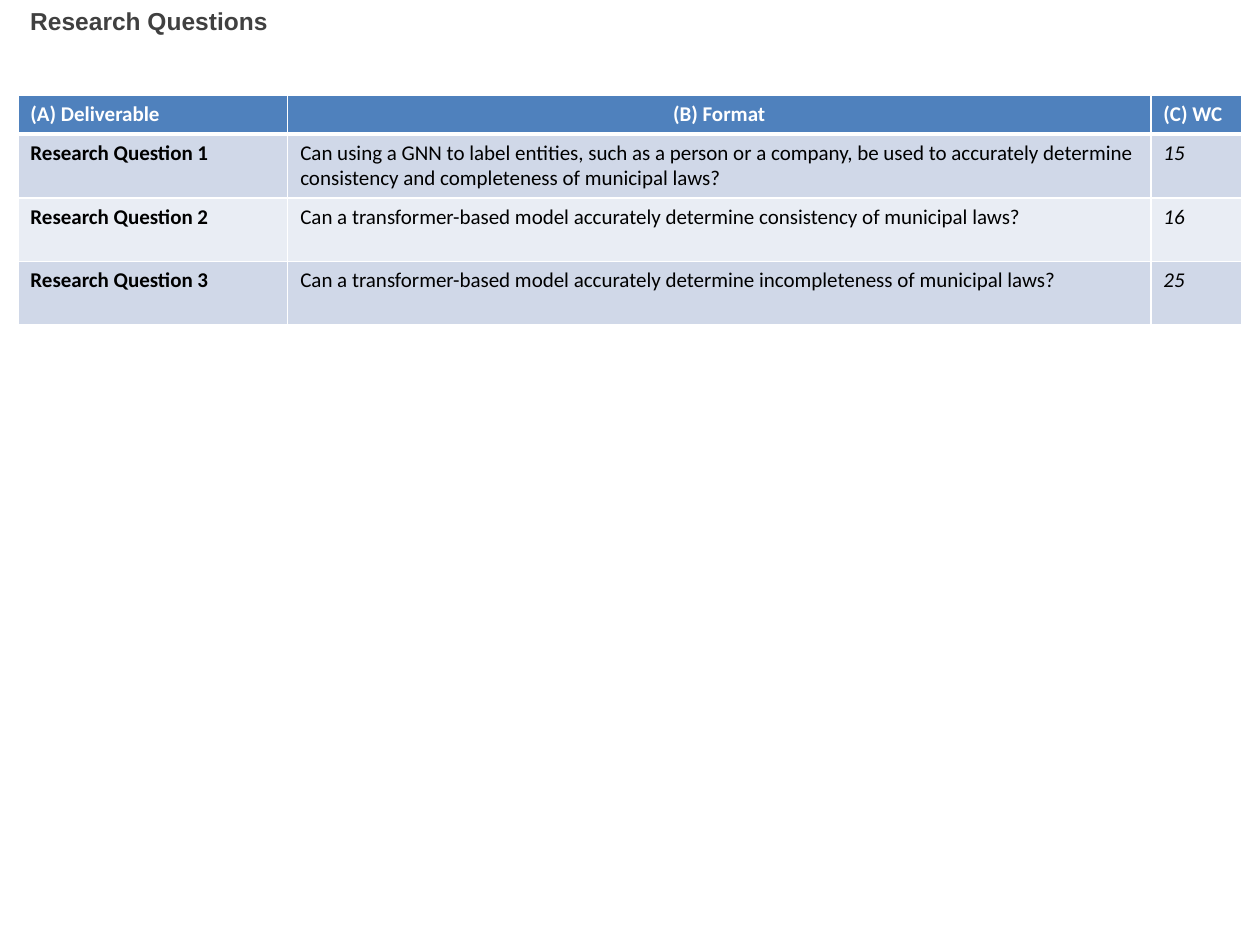
from dataclasses import dataclass

from lxml import etree
from pptx import Presentation
from pptx.dml.color import RGBColor
from pptx.enum.text import PP_ALIGN
from pptx.oxml.ns import qn
from pptx.util import Cm, Pt

LEFT = PP_ALIGN.LEFT
CENTER = PP_ALIGN.CENTER


@dataclass(frozen=True)
class Theme:
    """Colours, fonts and type sizes of the slide."""
    title_font: str = "Arial"
    table_font: str = "Calibri"
    title_size: int = 14
    table_size: int = 12
    title_color: str = "404040"
    header_text: str = "FFFFFF"
    body_text: str = "000000"
    header_fill: str = "4F81BD"
    band_fills: tuple = ("D0D8E8", "E9EDF4")
    border: str = "FFFFFF"


THEME = Theme()
COLUMN_WIDTHS = (5.44, 17.4, 1.83)
ROW_HEIGHTS = (0.74, 1.29, 1.28, 1.28)
HEADERS = ("(A) Deliverable", "(B) Format", "(C) WC")
QUESTIONS = (
    ("Research Question 1",
     "Can using a GNN to label entities, such as a person or a company, "
     "be used to accurately determine consistency and completeness of municipal laws?", "15"),
    ("Research Question 2",
     "Can a transformer-based model accurately determine consistency of municipal laws?", "16"),
    ("Research Question 3",
     "Can a transformer-based model accurately determine incompleteness of municipal laws?", "25"),
)


def add_run(paragraph, text, font_name, size, color, bold=False, italic=False):
    """Append a formatted run to a paragraph."""
    run = paragraph.add_run()
    run.text = text
    run.font.name = font_name
    run.font.size = Pt(size)
    run.font.color.rgb = RGBColor.from_string(color)
    run.font.bold = bold
    run.font.italic = italic


def set_borders(cell, bottom_width):
    """Draw solid borders on all four sides of a cell."""
    properties = cell._tc.get_or_add_tcPr()
    widths = {"a:lnL": 1, "a:lnR": 1, "a:lnT": 1, "a:lnB": bottom_width}
    for position, (tag, width) in enumerate(widths.items()):
        line = etree.Element(qn(tag), w=str(Pt(width)))
        fill = etree.SubElement(line, qn("a:solidFill"))
        etree.SubElement(fill, qn("a:srgbClr"), val=THEME.border)
        properties.insert(position, line)


def fill_cell(cell, text, fill, color, bold, italic=False, alignment=LEFT, bottom_width=1):
    """Write one table cell with its fill and borders."""
    cell.fill.solid()
    cell.fill.fore_color.rgb = RGBColor.from_string(fill)
    set_borders(cell, bottom_width)
    paragraph = cell.text_frame.paragraphs[0]
    paragraph.alignment = alignment
    add_run(paragraph, text, THEME.table_font, THEME.table_size, color, bold, italic)


def add_title(slide, text):
    """Add the slide heading."""
    shape = slide.shapes.add_textbox(Cm(0.36), Cm(0), Cm(21.54), Cm(1.73))
    shape.text_frame.word_wrap = True
    add_run(shape.text_frame.paragraphs[0], text, THEME.title_font,
            THEME.title_size, THEME.title_color, bold=True)


def add_question_table(slide):
    """Add the table of research questions."""
    table = slide.shapes.add_table(
        len(ROW_HEIGHTS), len(COLUMN_WIDTHS), Cm(0.36), Cm(1.93),
        Cm(sum(COLUMN_WIDTHS)), Cm(sum(ROW_HEIGHTS))).table
    for column, width in zip(table.columns, COLUMN_WIDTHS):
        column.width = Cm(width)
    for row, height in zip(table.rows, ROW_HEIGHTS):
        row.height = Cm(height)
    for column, text in enumerate(HEADERS):
        fill_cell(table.cell(0, column), text, THEME.header_fill, THEME.header_text, bold=True,
                  alignment=CENTER if column == 1 else LEFT, bottom_width=3)
    for row, question in enumerate(QUESTIONS):
        fill = THEME.band_fills[row % 2]
        for column, text in enumerate(question):
            fill_cell(table.cell(row + 1, column), text, fill, THEME.body_text,
                      bold=column == 0, italic=column == 2)


def main():
    """Build and save the presentation."""
    presentation = Presentation()
    presentation.slide_width = Cm(25.4)
    presentation.slide_height = Cm(19.05)
    slide = presentation.slides.add_slide(presentation.slide_layouts[6])
    add_question_table(slide)
    add_title(slide, "Research Questions")
    presentation.save("out.pptx")


if __name__ == "__main__":
    main()
